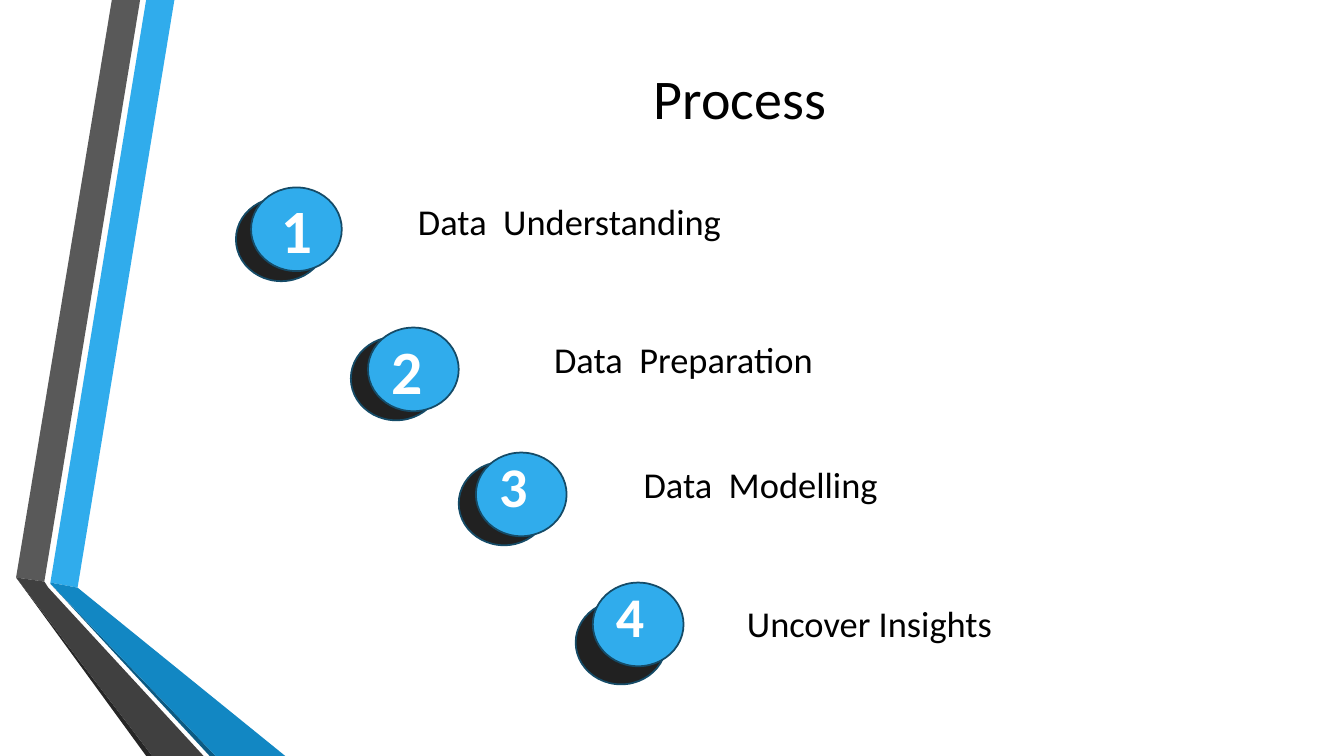
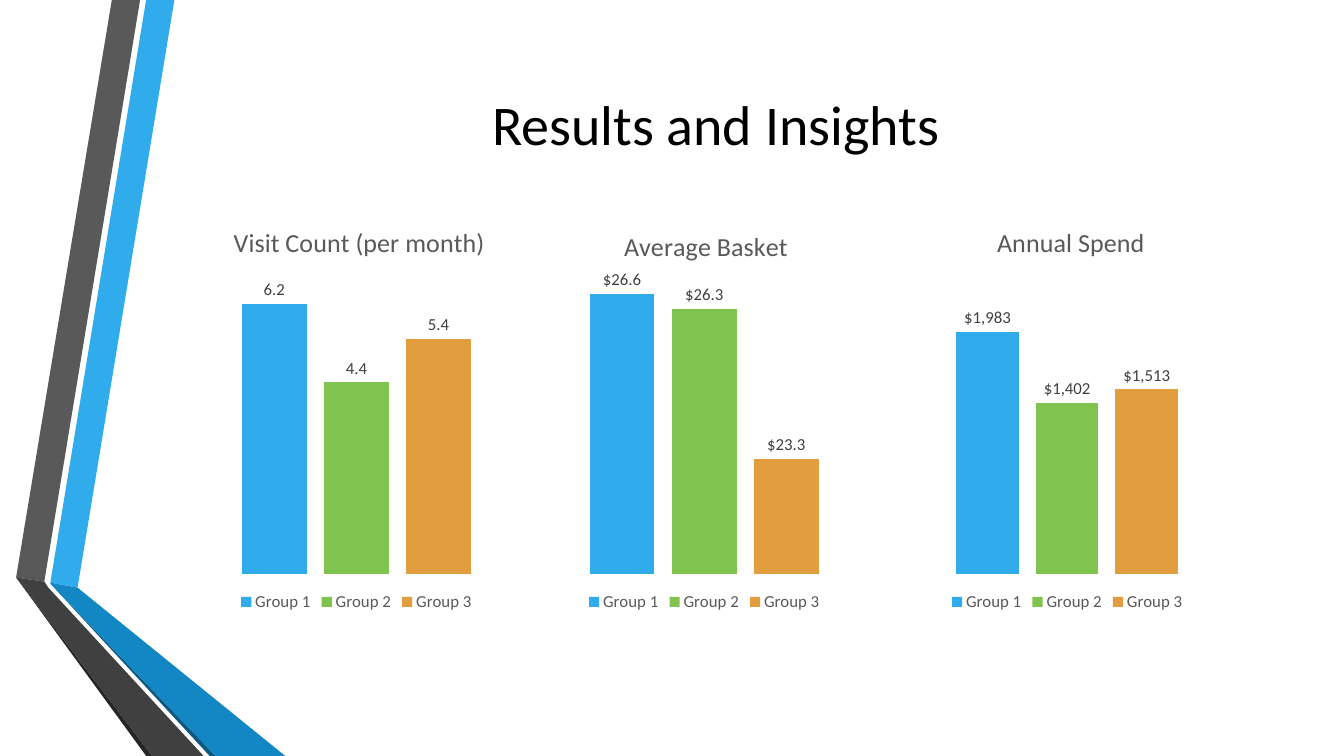
"""Build the process slide and the results slide."""
from lxml import etree
from pptx import Presentation
from pptx.chart import data
from pptx.dml.color import RGBColor
from pptx.enum import chart as charts, shapes, text
from pptx.oxml import ns
from pptx.util import Inches, Pt

FONT = "Calibri"
BLACK = RGBColor(0x00, 0x00, 0x00)
WHITE = RGBColor(0xFF, 0xFF, 0xFF)
BLUE = RGBColor(0x30, 0xAC, 0xEC)
BLUE_MID = RGBColor(0x12, 0x87, 0xC3)
BLUE_DARK = RGBColor(0x0C, 0x5A, 0x82)
BLUE_EDGE = RGBColor(0x15, 0x4B, 0x67)
GREEN = RGBColor(0x80, 0xC3, 0x4F)
ORANGE = RGBColor(0xE2, 0x9D, 0x3E)
GREY = RGBColor(0x59, 0x59, 0x59)
GREY_DARK = RGBColor(0x40, 0x40, 0x40)
CHARCOAL = RGBColor(0x26, 0x26, 0x26)
DISC_SHADE = RGBColor(0x21, 0x21, 0x21)

RIBBONS = [
    (BLUE, [(0.5, 5.78), (0.77, 5.83), (1.73, 0), (1.45, 0)]),
    (GREY, [(1.39, 0), (1.11, 0), (0.16, 5.73), (0.44, 5.77)]),
    (CHARCOAL, [(0.16, 5.73), (1.45, 7.5), (1.51, 7.5)]),
    (BLUE_DARK, [(0.5, 5.79), (2.08, 7.5), (2.14, 7.5)]),
    (BLUE_MID, [(0.5, 5.78), (0.5, 5.79), (2.14, 7.5), (2.83, 7.5), (0.77, 5.83)]),
    (GREY_DARK, [(2.02, 7.5), (0.48, 5.83), (0.44, 5.77), (0.16, 5.73), (1.51, 7.5)]),
]

CENTER, JUSTIFY = text.PP_ALIGN.CENTER, text.PP_ALIGN.JUSTIFY
MIDDLE, BOTTOM = text.MSO_ANCHOR.MIDDLE, text.MSO_ANCHOR.BOTTOM
DISC_SIZE = (0.9, 0.83)
STEPS = [
    ("Data  Understanding", (2.49, 1.86), (2.34, 1.96), (3.51, 1.8, 4.28, 0.79),
     (44, CENTER, MIDDLE, 1)),
    ("Data  Preparation", (3.65, 3.25), (3.48, 3.34), (4.55, 3.17, 4.46, 0.79),
     (44, JUSTIFY, MIDDLE, 1)),
    ("Data  Modelling", (4.72, 4.49), (4.55, 4.58), (5.62, 4.41, 3.85, 0.79),
     (40, JUSTIFY, BOTTOM, 1.5)),
    ("Uncover Insights", (5.88, 5.78), (5.71, 5.96), (6.78, 5.78, 3.69, 0.79),
     (40, JUSTIFY, BOTTOM, 1.5)),
]

GROUPS = [("Group 1", BLUE), ("Group 2", GREEN), ("Group 3", ORANGE)]
METRICS = [
    ("Visit Count (per month)", (0.17, 0.04), (1.62, 2.01, 3.83, 4.1),
     (6.2, 4.4, 5.4), "0.0", (0, 7)),
    ("Average Basket", (0.28, 0.05), (5.07, 2.01, 3.83, 4.1),
     (26.6, 26.3, 23.3), '"$"#,##0.0', (21, 27.1)),
    ("Annual Spend", (0.3, 0.04), (8.73, 2.01, 3.71, 4.1),
     (1983, 1402, 1513), '"$"#,##0', (0, 2500)),
]
PLOT_FRAME = {"x": 0.02, "y": 0.16, "w": 0.96, "h": 0.74}


def inches(values):
    """Convert a sequence of numbers to lengths."""
    return [Inches(value) for value in values]


def style_font(font, size, color, bold=False):
    """Apply the deck's font with a size and colour."""
    font.name = FONT
    font.size = Pt(size)
    font.bold = bold
    font.color.rgb = color


def write(frame, wording, size, color, align=CENTER, anchor=MIDDLE, spacing=1, bold=False):
    """Write one paragraph into a text frame."""
    frame.word_wrap = True
    frame.vertical_anchor = anchor
    paragraph = frame.paragraphs[0]
    paragraph.alignment = align
    paragraph.line_spacing = spacing
    run = paragraph.add_run()
    run.text = wording
    style_font(run.font, size, color, bold)


def add_label(slide, wording, box, size):
    """Add centred black text in a box."""
    label = slide.shapes.add_textbox(*inches(box))
    write(label.text_frame, wording, size, BLACK)


def add_ribbons(slide):
    """Draw the folded ribbons along the left edge."""
    for color, corners in RIBBONS:
        start, *rest = [inches(corner) for corner in corners]
        builder = slide.shapes.build_freeform(*start)
        builder.add_line_segments(rest, close=True)
        ribbon = builder.convert_to_shape()
        ribbon.shadow.inherit = False
        ribbon.fill.solid()
        ribbon.fill.fore_color.rgb = color
        ribbon.line.fill.background()


def add_titled_slide(deck, title, box):
    """Add a slide with the ribbons and a title."""
    slide = deck.slides.add_slide(deck.slide_layouts[6])
    add_ribbons(slide)
    add_label(slide, title, box, 40)
    return slide


def add_disc(slide, corner, color):
    """Add one outlined disc."""
    disc = slide.shapes.add_shape(shapes.MSO_SHAPE.OVAL, *inches(corner + DISC_SIZE))
    disc.shadow.inherit = False
    disc.fill.solid()
    disc.fill.fore_color.rgb = color
    disc.line.color.rgb = BLUE_EDGE
    disc.line.width = Pt(1.25)
    return disc


def add_step(slide, number, step):
    """Add a numbered disc, its shade and its label."""
    wording, face_corner, shade_corner, label_box, (size, align, anchor, spacing) = step
    add_disc(slide, shade_corner, DISC_SHADE)
    face = add_disc(slide, face_corner, BLUE)
    write(face.text_frame, str(number), size, WHITE, align, anchor, spacing, bold=True)
    add_label(slide, wording, label_box, 26)


def place(part, index, frame, inner=False):
    """Give a chart part a manual layout, as fractions of the chart."""
    layout = part.find(ns.qn("c:layout"))
    if layout is None:
        layout = etree.Element(ns.qn("c:layout"))
        part.insert(index, layout)
    manual = etree.SubElement(layout, ns.qn("c:manualLayout"))
    settings = {"layoutTarget": "inner"} if inner else {}
    settings.update({f"{side}Mode": "edge" for side in "xy"})
    settings.update(frame)
    for tag, value in settings.items():
        etree.SubElement(manual, ns.qn(f"c:{tag}")).set("val", str(value))


def add_metric(slide, metric):
    """Add a column chart comparing the groups on one metric."""
    title, title_corner, box, values, number_format, (low, high) = metric
    figures = data.CategoryChartData(number_format=number_format)
    figures.categories = ["1"]
    for (name, _), value in zip(GROUPS, values):
        figures.add_series(name, [value])
    chart = slide.shapes.add_chart(
        charts.XL_CHART_TYPE.COLUMN_CLUSTERED, *inches(box), figures).chart
    style_font(chart.font, 10, BLACK)

    chart.has_title = True
    heading = chart.chart_title.text_frame.paragraphs[0].add_run()
    heading.text = title
    style_font(heading.font, 18.6, GREY)
    chart.chart_title.include_in_layout = False
    place(chart.element.find(".//" + ns.qn("c:title")), 1, dict(zip("xy", title_corner)))
    place(chart.element.find(".//" + ns.qn("c:plotArea")), 0, PLOT_FRAME, inner=True)

    chart.has_legend = True
    chart.legend.position = charts.XL_LEGEND_POSITION.BOTTOM
    chart.legend.include_in_layout = False
    style_font(chart.legend.font, 12, GREY)

    chart.category_axis.visible = False
    scale = chart.value_axis
    scale.visible = False
    scale.has_major_gridlines = False
    scale.minimum_scale, scale.maximum_scale = low, high

    plot = chart.plots[0]
    plot.gap_width, plot.overlap = 219, -27
    plot.vary_by_categories = False
    for series, (_, color) in zip(plot.series, GROUPS):
        series.format.fill.solid()
        series.format.fill.fore_color.rgb = color
        labels = series.data_labels
        labels.show_value = True
        labels.number_format = number_format
        labels.number_format_is_linked = False
        labels.position = charts.XL_LABEL_POSITION.OUTSIDE_END
        style_font(labels.font, 12, GREY_DARK)


def main():
    """Build and save both slides."""
    deck = Presentation()
    deck.slide_width, deck.slide_height = Inches(13.33), Inches(7.5)

    process = add_titled_slide(deck, "Process", (4.1, 0.29, 6.48, 1.35))
    for number, step in enumerate(STEPS, 1):
        add_step(process, number, step)

    results = add_titled_slide(deck, "Results and Insights", (1.62, 0.75, 10.96, 0.94))
    for metric in METRICS:
        add_metric(results, metric)

    deck.save("out.pptx")


if __name__ == "__main__":
    main()
